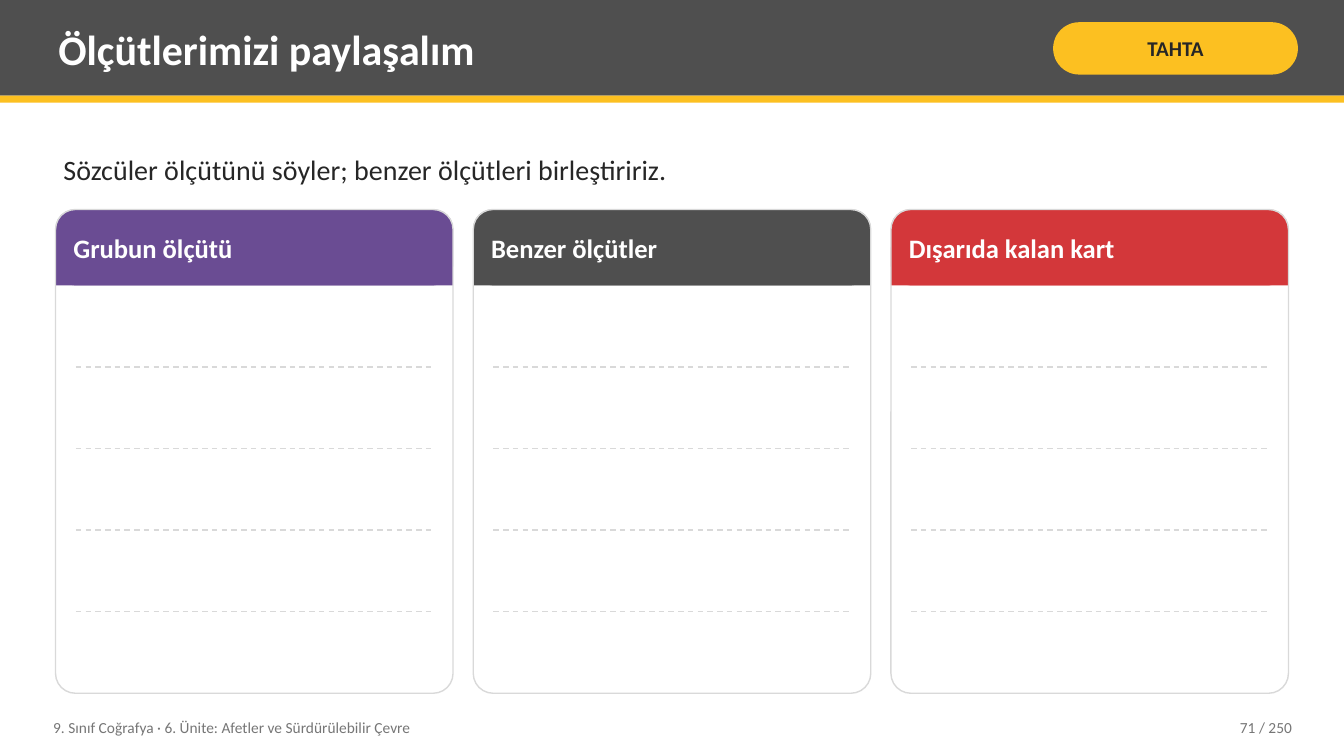
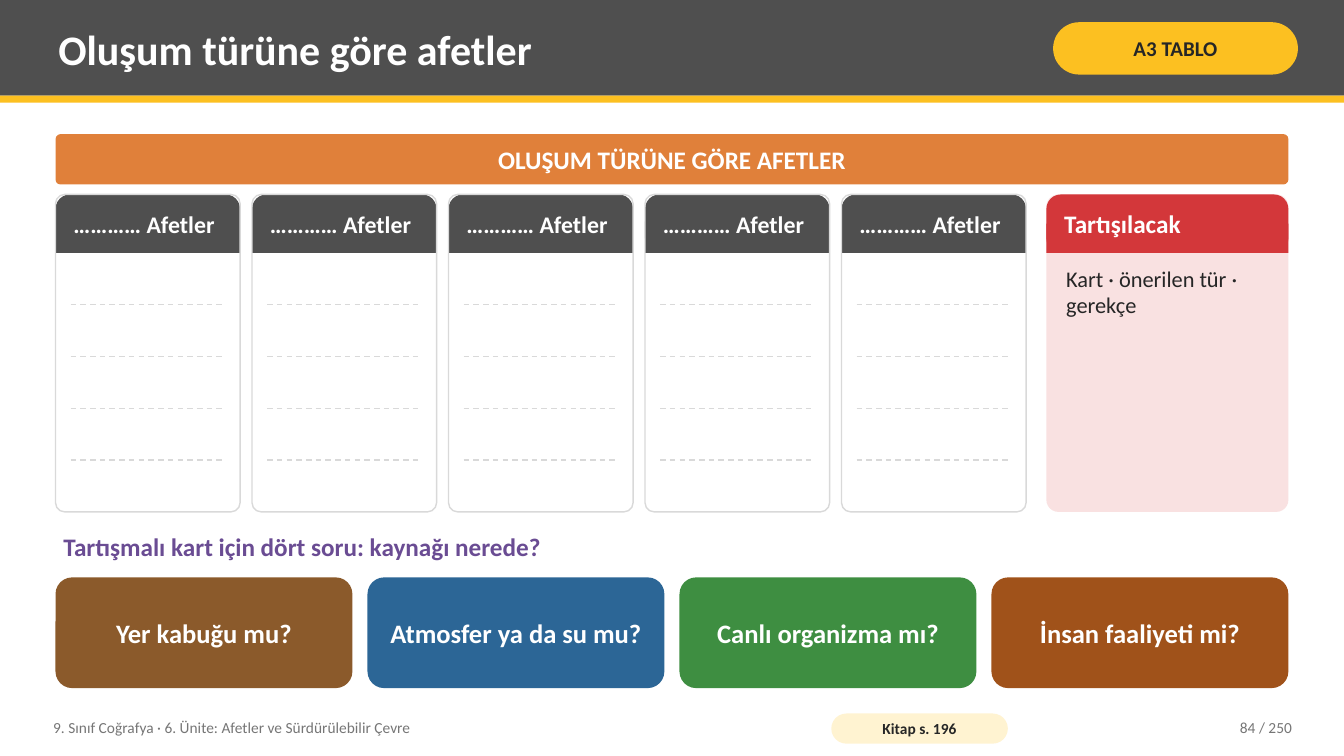
from lxml import etree
from pptx import Presentation
from pptx.dml.color import RGBColor
from pptx.enum.dml import MSO_LINE
from pptx.enum.shapes import MSO_CONNECTOR, MSO_SHAPE
from pptx.enum.text import MSO_ANCHOR, PP_ALIGN
from pptx.oxml.ns import qn
from pptx.util import Cm, Pt

RECT, ROUND = MSO_SHAPE.RECTANGLE, MSO_SHAPE.ROUNDED_RECTANGLE
STRAIGHT, DASH = MSO_CONNECTOR.STRAIGHT, MSO_LINE.DASH
TOP, MIDDLE = MSO_ANCHOR.TOP, MSO_ANCHOR.MIDDLE
LEFT, CENTER, RIGHT = PP_ALIGN.LEFT, PP_ALIGN.CENTER, PP_ALIGN.RIGHT

COLORS = {
    "white": "FFFFFF", "ink": "262626", "slate": "4F4F4F", "muted": "767676",
    "rule": "D9D9D9", "yellow": "FCC021", "cream": "FFF3D1", "purple": "6A4C93",
    "red": "D3373A", "blush": "F9E1E1", "orange": "E0803A", "brown": "8B5A2B",
    "blue": "2C6696", "green": "3E8E41", "rust": "A0521A",
}
FONT = "Calibri"

# Content
FOOTER = "9. Sınıf Coğrafya · 6. Ünite: Afetler ve Sürdürülebilir Çevre"
PAGE_TOTAL = 250

SHARING = {"title": "Ölçütlerimizi paylaşalım", "tag": "TAHTA", "page": 71}
SHARING_PROMPT = "Sözcüler ölçütünü söyler; benzer ölçütleri birleştiririz."
SHARING_COLUMNS = [
    ("Grubun ölçütü", "purple"),
    ("Benzer ölçütler", "slate"),
    ("Dışarıda kalan kart", "red"),
]

DISASTERS = {"title": "Oluşum türüne göre afetler", "tag": "A3 TABLO",
             "page": 84, "book": "Kitap s. 196"}
DISASTER_BANNER = "OLUŞUM TÜRÜNE GÖRE AFETLER"
DISASTER_COLUMNS = [("………… Afetler", "slate")] * 5
DISCUSSION = ("Tartışılacak", "Kart · önerilen tür · gerekçe")
QUESTION_HEADING = "Tartışmalı kart için dört soru: kaynağı nerede?"
QUESTIONS = [
    ("Yer kabuğu mu?", "brown"),
    ("Atmosfer ya da su mu?", "blue"),
    ("Canlı organizma mı?", "green"),
    ("İnsan faaliyeti mi?", "rust"),
]

# Layout, in centimetres
PAGE_W, PAGE_H = 33.87, 19.05
MARGIN = 1.4
CONTENT_W = PAGE_W - 2 * MARGIN
BAND_H, STRIPE_H = 2.41, 0.18
FOOTER_Y, FOOTER_H = 17.88, 0.91
WRITING_ROWS = 5
TEXT_INSETS, CARD_INSETS = (0.2, 0.1), (0.36, 0.2)
TAG_INSETS, BOOK_INSETS = (0.13, 0.05), (0.1, 0)


def rgb(name):
    return RGBColor.from_string(COLORS[name])


def write(shape, text, size, color, bold=False, align=LEFT, anchor=MIDDLE,
          insets=TEXT_INSETS):
    frame = shape.text_frame
    side, edge = (Cm(inset) for inset in insets)
    frame_format = {"word_wrap": True, "vertical_anchor": anchor,
                    "margin_left": side, "margin_right": side,
                    "margin_top": edge, "margin_bottom": edge}
    for name, value in frame_format.items():
        setattr(frame, name, value)
    para = frame.paragraphs[0]
    para.alignment = align
    span = para.add_run()
    span.text = text
    for name, value in {"name": FONT, "size": Pt(size), "bold": bold}.items():
        setattr(span.font, name, value)
    span.font.color.rgb = rgb(color)


def add_text(page, area, text, size, color, **style):
    box = page.shapes.add_textbox(*map(Cm, area))
    write(box, text, size, color, **style)


def add_block(page, area, fill=None, radius=None, outline=None):
    kind = RECT if radius is None else ROUND
    block = page.shapes.add_shape(kind, *map(Cm, area))
    block.shadow.inherit = False
    if radius is not None:
        block.adjustments[0] = radius
    if fill:
        block.fill.solid()
        block.fill.fore_color.rgb = rgb(fill)
    else:
        block.fill.background()
    if outline:
        block.line.color.rgb = rgb(outline)
        block.line.width = Pt(1)
    else:
        block.line.fill.background()
    return block


def add_label(page, area, text, size, fill, color="white", radius=0.5,
              insets=CARD_INSETS):
    block = add_block(page, area, fill, radius)
    write(block, text, size, color, bold=True, align=CENTER, insets=insets)


def add_writing_line(page, left, right, y):
    line = page.shapes.add_connector(STRAIGHT, Cm(left), Cm(y), Cm(right), Cm(y))
    line.line.color.rgb = rgb("rule")
    line.line.width = Pt(1)
    line.line.dash_style = DASH
    properties = line._element.find(qn("p:spPr"))
    etree.SubElement(properties, qn("a:effectLst"))


def split(left, width, count, gap):
    """Return the left edges and the shared width of equal parts."""
    part = (width - gap * (count - 1)) / count
    return [left + i * (part + gap) for i in range(count)], part


def add_headed_card(page, area, head_h, text, size, color, fill="white"):
    left, top, width, _ = area
    add_block(page, area, fill, 0.05)
    add_block(page, (left, top, width, head_h), color, 0.25)
    add_block(page, (left, top + head_h / 2, width, head_h / 2), color)
    add_text(page, (left + 0.25, top, width - 0.5, head_h), text, size, "white",
             bold=True)


def add_writing_columns(page, columns, area, gap, head_h, size, inset):
    left, top, total, height = area
    lefts, width = split(left, total, len(columns), gap)
    row_h = (height - head_h) / WRITING_ROWS
    for x, (text, color) in zip(lefts, columns):
        card = (x, top, width, height)
        add_headed_card(page, card, head_h, text, size, color)
        add_block(page, card, radius=0.05, outline="rule")
        for row in range(1, WRITING_ROWS):
            add_writing_line(page, x + inset, x + width - inset,
                             top + head_h + row * row_h)


def add_page(deck, info):
    """Add a page with the shared title band and footer."""
    page = deck.slides.add_slide(deck.slide_layouts[6])
    add_block(page, (0, 0, PAGE_W, BAND_H), "slate")
    add_block(page, (0, BAND_H, PAGE_W, STRIPE_H), "yellow")
    add_text(page, (1.27, 0.18, 24.77, 2.08), info["title"], 30, "white", bold=True)
    add_label(page, (26.54, 0.56, 6.17, 1.32), info["tag"], 15, "yellow", "ink",
              insets=TAG_INSETS)
    add_text(page, (1.14, FOOTER_Y, 19.3, FOOTER_H), FOOTER, 11, "muted")
    if "book" in info:
        add_label(page, (20.95, 17.98, 4.45, 0.76), info["book"], 11, "cream", "ink",
                  insets=BOOK_INSETS)
    add_text(page, (28.7, FOOTER_Y, 4.06, FOOTER_H), f"{info['page']} / {PAGE_TOTAL}",
             11, "muted", align=RIGHT)
    return page


def build_sharing(deck):
    page = add_page(deck, SHARING)
    add_text(page, (MARGIN, 3.51, CONTENT_W, 1.52), SHARING_PROMPT, 20, "ink")
    add_writing_columns(page, SHARING_COLUMNS, (MARGIN, 5.28, CONTENT_W, 12.19),
                        gap=0.51, head_h=1.91, size=19, inset=0.51)


def build_disasters(deck):
    page = add_page(deck, DISASTERS)
    add_label(page, (MARGIN, 3.38, CONTENT_W, 1.27), DISASTER_BANNER, 18, "orange",
              radius=0.1)

    # Writing columns and the discussion card beside them
    top, height, head_h = 4.9, 8, 1.47
    side_w, side_gap = 6.1, 0.51
    side_x = MARGIN + CONTENT_W - side_w
    columns_w = CONTENT_W - side_w - side_gap
    add_writing_columns(page, DISASTER_COLUMNS, (MARGIN, top, columns_w, height),
                        gap=0.3, head_h=head_h, size=17, inset=0.38)
    heading, hint = DISCUSSION
    add_headed_card(page, (side_x, top, side_w, height), head_h, heading, 18, "red",
                    fill="blush")
    add_text(page, (side_x + 0.3, top + head_h + 0.2, side_w - 0.6,
                    height - head_h - 0.4), hint, 16, "ink", anchor=TOP)

    # Four questions
    add_text(page, (MARGIN, 13.28, CONTENT_W, 1.07), QUESTION_HEADING, 18, "purple",
             bold=True, anchor=TOP)
    lefts, width = split(MARGIN, CONTENT_W, len(QUESTIONS), 0.38)
    for x, (text, color) in zip(lefts, QUESTIONS):
        add_label(page, (x, 14.55, width, 2.79), text, 19, color, radius=0.15)


def main():
    deck = Presentation()
    deck.slide_width, deck.slide_height = Cm(PAGE_W), Cm(PAGE_H)
    build_sharing(deck)
    build_disasters(deck)
    deck.save("out.pptx")


if __name__ == "__main__":
    main()
